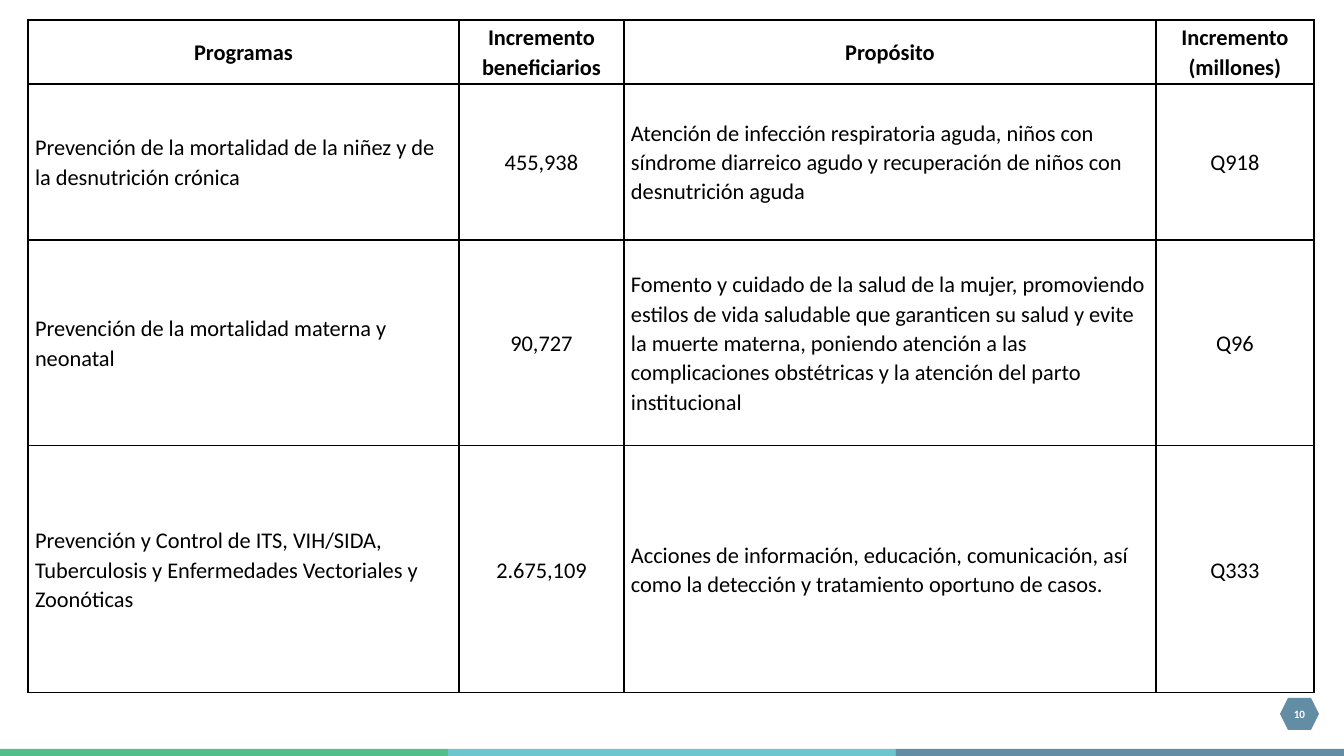
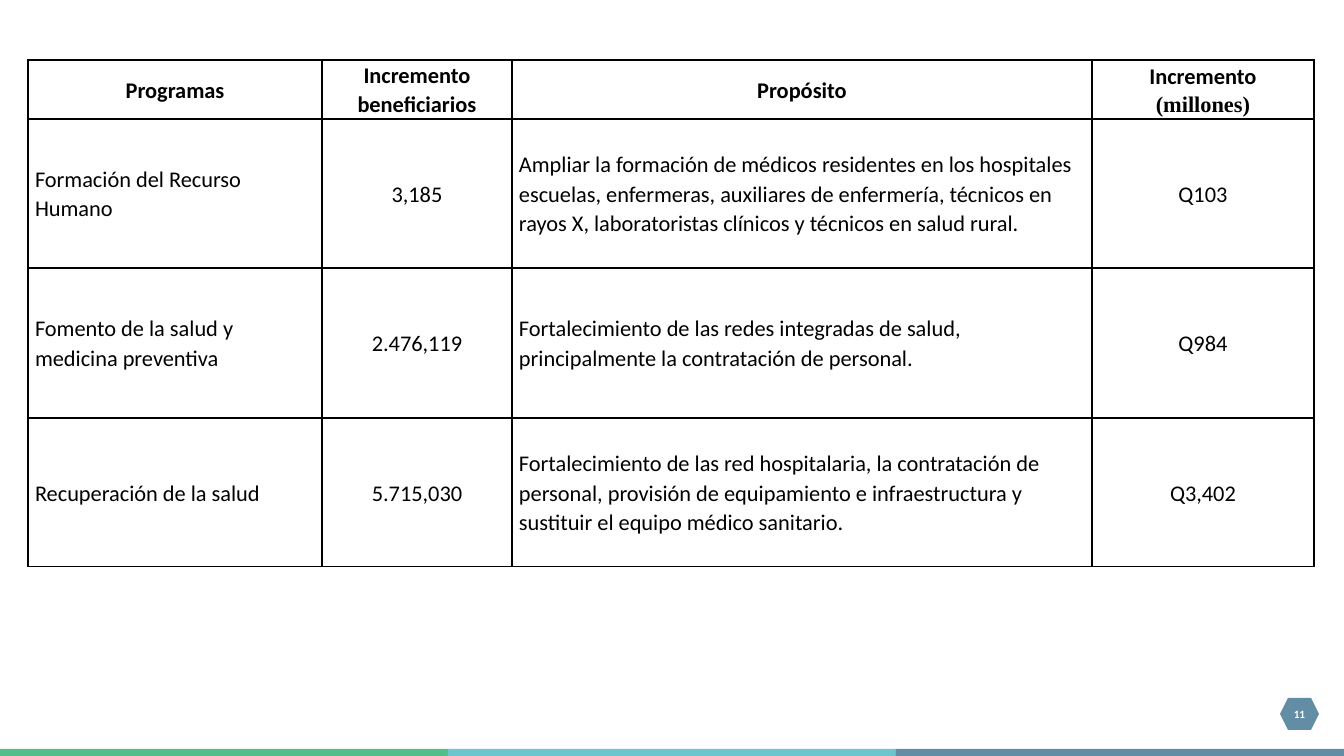
from dataclasses import dataclass

from lxml import etree
from pptx import Presentation
from pptx import util as u
from pptx.dml.color import RGBColor
from pptx.enum import shapes, text
from pptx.oxml import ns

PX_PER_INCH = 100.8
WIDTH, HEIGHT = 1344, 756


@dataclass(frozen=True)
class Theme:
    font: str = "Calibri"
    serif: str = "Times New Roman"
    ink: str = "000000"
    paper: str = "FFFFFF"
    green: str = "52BF8A"
    aqua: str = "6DC6CD"
    slate: str = "638CA5"
    table_size: int = 16
    badge_size: int = 8
    line_spacing: float = 1.07
    border: int = 1


def px(length):
    return u.Inches(length / PX_PER_INCH)


def write(frame, content, *, size, color, font, last_font=None, bold=False,
          align=text.PP_ALIGN.LEFT, spacing=1.0, margin=0):
    frame.word_wrap = True
    frame.vertical_anchor = text.MSO_ANCHOR.MIDDLE
    frame.margin_left = frame.margin_right = px(margin)
    frame.margin_top = frame.margin_bottom = 0
    lines = content.split("\n")
    for index, line in enumerate(lines):
        para = frame.add_paragraph() if index else frame.paragraphs[0]
        para.alignment = align
        para.line_spacing = spacing
        span = para.add_run()
        span.text = line
        span.font.size = u.Pt(size)
        span.font.bold = bold
        span.font.color.rgb = RGBColor.from_string(color)
        is_last = index == len(lines) - 1
        span.font.name = last_font if last_font and is_last else font


class Slides:
    def __init__(self, theme):
        self.theme = theme
        self.deck = Presentation()
        self.deck.slide_width = px(WIDTH)
        self.deck.slide_height = px(HEIGHT)
        self.page = None

    def new_page(self, number):
        theme = self.theme
        self.page = self.deck.slides.add_slide(self.deck.slide_layouts[6])
        band = WIDTH // 3
        for index, color in enumerate((theme.green, theme.aqua, theme.slate)):
            self.shape(shapes.MSO_SHAPE.RECTANGLE, index * band, 749, band, 7, color)
        badge = self.shape(shapes.MSO_SHAPE.HEXAGON, 1280, 698, 39, 32, theme.slate)
        write(badge.text_frame, str(number), size=theme.badge_size,
              color=theme.paper, font=theme.font, bold=True,
              align=text.PP_ALIGN.CENTER)

    def shape(self, kind, left, top, width, height, color):
        box = self.page.shapes.add_shape(kind, px(left), px(top), px(width), px(height))
        box.shadow.inherit = False
        box.fill.solid()
        box.fill.fore_color.rgb = RGBColor.from_string(color)
        box.line.fill.background()
        return box

    def table(self, left, top, widths, heights, rows, unit_font=None):
        theme = self.theme
        frame = self.page.shapes.add_table(
            len(rows), len(widths), px(left), px(top), px(sum(widths)), px(sum(heights)))
        grid = frame.table
        grid.first_row = grid.horz_banding = False
        for column, width in zip(grid.columns, widths):
            column.width = px(width)
        for line, height in zip(grid.rows, heights):
            line.height = px(height)
        for r, row in enumerate(rows):
            for c, content in enumerate(row):
                cell = grid.cell(r, c)
                header = r == 0
                centred = header or c in (1, 3)
                cell.margin_left = cell.margin_right = px(7)
                cell.margin_top = cell.margin_bottom = 0
                cell.vertical_anchor = text.MSO_ANCHOR.MIDDLE
                write(cell.text_frame, content, size=theme.table_size,
                      color=theme.ink, font=theme.font, bold=header,
                      last_font=unit_font if header and c == 3 else None,
                      align=text.PP_ALIGN.CENTER if centred else text.PP_ALIGN.LEFT,
                      spacing=theme.line_spacing, margin=7)
                self.borders(cell)
                cell.fill.background()

    def borders(self, cell):
        properties = cell._tc.get_or_add_tcPr()
        for side in ("a:lnL", "a:lnR", "a:lnT", "a:lnB"):
            edge = etree.SubElement(properties, ns.qn(side),
                                    w=str(u.Pt(self.theme.border)))
            fill = etree.SubElement(edge, ns.qn("a:solidFill"))
            etree.SubElement(fill, ns.qn("a:srgbClr"), val=self.theme.ink)


HEADER = ("Programas", "Incremento beneficiarios", "Propósito", "Incremento\n(millones)")

PREVENTION = (
    HEADER,
    ("Prevención de la mortalidad de la niñez y de la desnutrición crónica", "455,938",
     "Atención de infección respiratoria aguda, niños con síndrome diarreico agudo "
     "y recuperación de niños con desnutrición aguda", "Q918"),
    ("Prevención de la mortalidad materna y neonatal", "90,727",
     "Fomento y cuidado de la salud de la mujer, promoviendo estilos de vida saludable "
     "que garanticen su salud y evite la muerte materna, poniendo atención a las "
     "complicaciones obstétricas y la atención del parto institucional", "Q96"),
    ("Prevención y Control de ITS, VIH/SIDA, Tuberculosis y Enfermedades Vectoriales "
     "y Zoonóticas", "2.675,109",
     "Acciones de información, educación, comunicación, así como la detección y "
     "tratamiento oportuno de casos.", "Q333"),
)

SERVICES = (
    HEADER,
    ("Formación del Recurso Humano", "3,185",
     "Ampliar la formación de médicos residentes en los hospitales escuelas, enfermeras, "
     "auxiliares de enfermería, técnicos en rayos X, laboratoristas clínicos y técnicos "
     "en salud rural.", "Q103"),
    ("Fomento de la salud y medicina preventiva", "2.476,119",
     "Fortalecimiento de las redes integradas de salud, principalmente la contratación "
     "de personal.", "Q984"),
    ("Recuperación de la salud", "5.715,030",
     "Fortalecimiento de las red hospitalaria, la contratación de personal, provisión de "
     "equipamiento e infraestructura y sustituir el equipo médico sanitario.", "Q3,402"),
)


def main():
    theme = Theme()
    slides = Slides(theme)

    slides.new_page(10)
    slides.table(28, 20, (431, 165, 532, 158), (64, 156, 206, 247), PREVENTION)

    slides.new_page(11)
    slides.table(28, 60, (294, 190, 580, 222), (59, 149, 150, 149), SERVICES,
                 unit_font=theme.serif)

    slides.deck.save("out.pptx")


if __name__ == "__main__":
    main()
